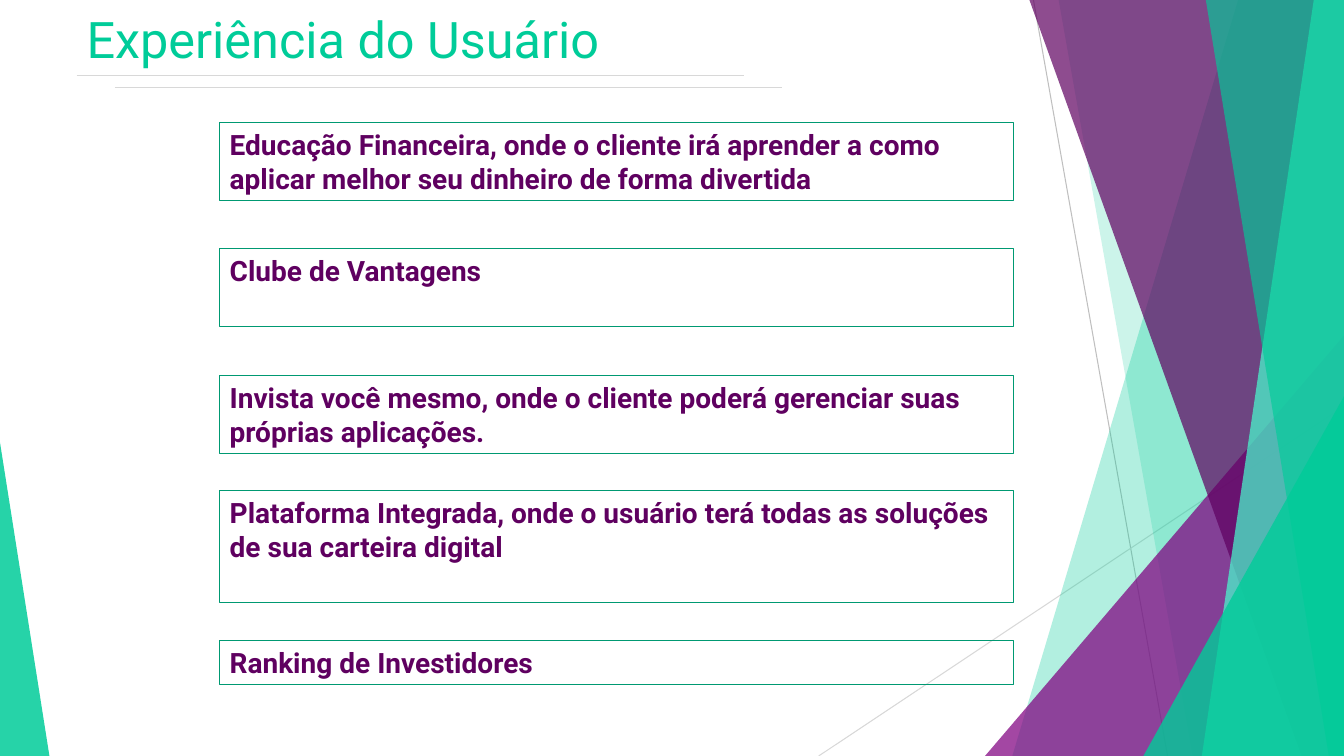
from dataclasses import dataclass

from lxml import etree
from pptx import Presentation
from pptx.dml.color import RGBColor
from pptx.enum.shapes import MSO_CONNECTOR, MSO_SHAPE
from pptx.enum.text import MSO_ANCHOR, PP_ALIGN
from pptx.oxml.ns import qn
from pptx.util import Inches, Pt

STRAIGHT = MSO_CONNECTOR.STRAIGHT
RECTANGLE = MSO_SHAPE.RECTANGLE
TRIANGLE = MSO_SHAPE.ISOSCELES_TRIANGLE
TOP = MSO_ANCHOR.TOP
LEFT = PP_ALIGN.LEFT

WIDTH, HEIGHT = 13.33, 7.5


@dataclass(frozen=True)
class Theme:
    font: str = "Roboto"
    title_size: float = 36
    card_size: float = 20
    line_width: float = 0.75
    green: str = "00CC99"
    mint: str = "47FFD0"
    card_border: str = "009972"
    purple: str = "800080"
    dark_purple: str = "5F0060"
    gray: str = "BFBFBF"
    light_gray: str = "D8D8D8"


THEME = Theme()

# Text, top and height of each card
CARDS = [
    ("Educação Financeira, onde o cliente irá aprender a como "
     "aplicar melhor seu dinheiro de forma divertida", 1.22, 0.77),
    ("Clube de Vantagens", 2.47, 0.77),
    ("Invista você mesmo, onde o cliente poderá gerenciar suas "
     "próprias aplicações.", 3.73, 0.77),
    ("Plataforma Integrada, onde o usuário terá todas as soluções "
     "de sua carteira digital", 4.87, 1.11),
    ("Ranking de Investidores", 6.35, 0.44),
]


def paint(shape, color, opacity):
    """Fill a borderless shape; opacity is a percentage."""
    shape.shadow.inherit = False
    shape.line.fill.background()
    shape.fill.solid()
    shape.fill.fore_color.rgb = RGBColor.from_string(color)
    color_element = shape.fill._xPr.find(qn("a:solidFill"))[0]
    etree.SubElement(color_element, qn("a:alpha"), val=str(opacity * 1000))


def add_line(slide, start, end, color):
    points = [Inches(value) for value in (*start, *end)]
    connector = slide.shapes.add_connector(STRAIGHT, *points)
    connector.line.color.rgb = RGBColor.from_string(color)
    connector.line.width = Pt(THEME.line_width)
    etree.SubElement(connector._element.spPr, qn("a:effectLst"))


def add_panel(slide, top_x, bottom_x, color, opacity):
    """Add a full-height panel from a slanted left edge to the slide's right edge."""
    corners = [(top_x, 0), (WIDTH, 0), (WIDTH, HEIGHT), (bottom_x, HEIGHT)]
    points = [(Inches(x), Inches(y)) for x, y in corners]
    builder = slide.shapes.build_freeform(*points[0])
    builder.add_line_segments(points[1:], close=True)
    paint(builder.convert_to_shape(), color, opacity)


def add_corner(slide, left, width, height, apex, color, opacity):
    """Add a triangle on the slide's bottom edge; apex runs from 0 (left) to 1 (right)."""
    shape = slide.shapes.add_shape(
        TRIANGLE, Inches(left), Inches(HEIGHT - height), Inches(width), Inches(height))
    shape.adjustments[0] = apex
    paint(shape, color, opacity)


def add_right_corner(slide, left, top, color, opacity):
    add_corner(slide, left, WIDTH - left, HEIGHT - top, 1, color, opacity)


def add_backdrop(slide):
    add_line(slide, (10.25, 0), (11.58, HEIGHT), THEME.gray)
    add_line(slide, (WIDTH, 4.03), (8.12, HEIGHT), THEME.light_gray)
    add_panel(slide, 12.28, 10.04, THEME.green, 30)
    add_panel(slide, 10.5, 11.83, THEME.green, 20)
    add_right_corner(slide, 9.77, 3.33, THEME.purple, 72)
    add_panel(slide, 10.21, 12.91, THEME.dark_purple, 70)
    add_panel(slide, 13.03, 11.92, THEME.mint, 70)
    add_panel(slide, 11.96, 13.18, THEME.green, 65)
    add_right_corner(slide, 11.34, 3.93, THEME.green, 80)
    add_corner(slide, 0, 0.49, 3.11, 0, THEME.green, 85)


def write(shape, text, size, color, bold=False):
    frame = shape.text_frame
    frame.word_wrap = True
    frame.vertical_anchor = TOP
    paragraph = frame.paragraphs[0]
    paragraph.text = text
    paragraph.alignment = LEFT
    paragraph.font.name = THEME.font
    paragraph.font.size = Pt(size)
    paragraph.font.bold = bold
    paragraph.font.color.rgb = RGBColor.from_string(color)


def add_title(slide, left, top, width, height):
    box = slide.shapes.add_textbox(
        Inches(left), Inches(top), Inches(width), Inches(height))
    write(box, "Experiência do Usuário", THEME.title_size, THEME.green)
    rule_width = 6.62
    for indent, drop in ((0, 0.72), (0.38, 0.84)):
        start = left + indent
        add_line(slide, (start, top + drop), (start + rule_width, top + drop),
                 THEME.light_gray)


def add_cards(slide, left, width):
    for text, top, height in CARDS:
        card = slide.shapes.add_shape(
            RECTANGLE, Inches(left), Inches(top), Inches(width), Inches(height))
        card.shadow.inherit = False
        card.fill.background()
        card.line.color.rgb = RGBColor.from_string(THEME.card_border)
        card.line.width = Pt(THEME.line_width)
        write(card, text, THEME.card_size, THEME.dark_purple, bold=True)


def main():
    presentation = Presentation()
    presentation.slide_width = Inches(WIDTH)
    presentation.slide_height = Inches(HEIGHT)
    slide = presentation.slides.add_slide(presentation.slide_layouts[6])
    add_backdrop(slide)
    add_title(slide, 0.76, 0.03, 7.11, 1.44)
    add_cards(slide, 2.18, 7.87)
    presentation.save("out.pptx")


if __name__ == "__main__":
    main()
